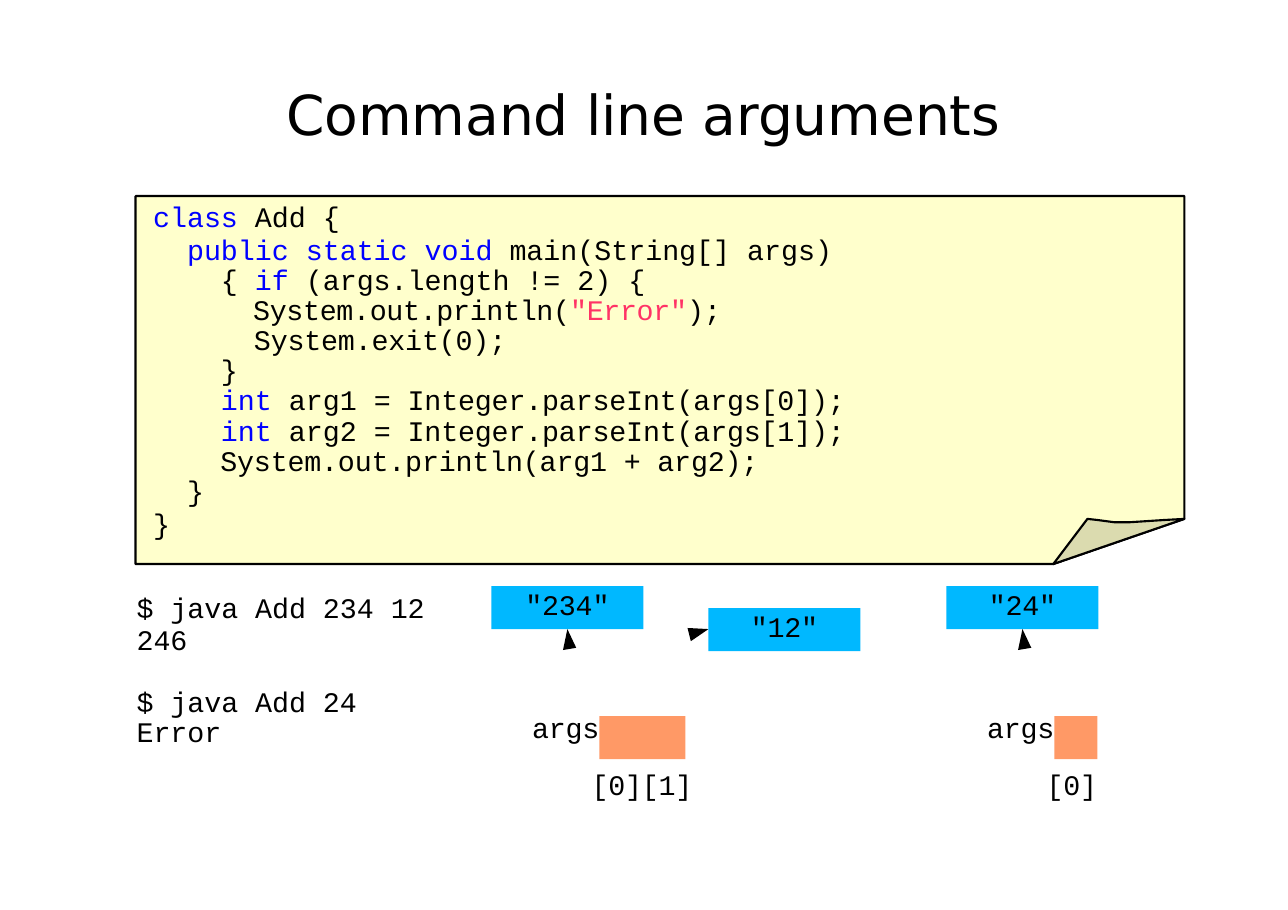
import pptx
import pptx.util
import pptx.dml.color
import pptx.enum.shapes
import pptx.enum.text

Inches, Pt = pptx.util.Inches, pptx.util.Pt
RGBColor = pptx.dml.color.RGBColor
RECT = pptx.enum.shapes.MSO_SHAPE.RECTANGLE
ALIGN = pptx.enum.text.PP_ALIGN

BLACK = RGBColor(0x00, 0x00, 0x00)
KEYWORD = RGBColor(0x00, 0x00, 0xFF)
STRING = RGBColor(0xFF, 0x33, 0x66)
PAPER = RGBColor(0xFF, 0xFF, 0xCC)
FOLD = RGBColor(0xDB, 0xDB, 0xAF)
VALUE = RGBColor(0x00, 0xB8, 0xFF)
CELL = RGBColor(0xFF, 0x99, 0x66)

prs = pptx.Presentation()
prs.slide_width, prs.slide_height = Inches(11.69), Inches(8.26)
s = prs.slides.add_slide(prs.slide_layouts[6])


def write(sp, lines, spacing=None, font="Courier New", size=18.5,
          align=ALIGN.LEFT, wrap=False):
    """Fill a shape; each line is a list of (text, colour, tracking) runs."""
    tf = sp.text_frame
    frame = {"margin_left": 0, "margin_right": 0, "margin_bottom": 0,
             "margin_top": Inches(0.01), "word_wrap": wrap,
             "vertical_anchor": pptx.enum.text.MSO_ANCHOR.TOP}
    for name, value in frame.items():
        setattr(tf, name, value)
    for i, runs in enumerate(lines):
        p = tf.paragraphs[0] if i == 0 else tf.add_paragraph()
        p.alignment = align
        if spacing:
            p.line_spacing = Pt(spacing)
        for text, color, tracking in runs:
            r = p.add_run()
            r.text = text
            for name, value in {"name": font, "size": Pt(size)}.items():
                setattr(r.font, name, value)
            r.font.color.rgb = color
            r.font._element.set("spc", str(tracking))
    return tf


def outline(points, fill, border=None):
    """Draw a closed polygon through points given in inches."""
    pts = [(Inches(x), Inches(y)) for x, y in points]
    fb = s.shapes.build_freeform(*pts[0])
    fb.add_line_segments(pts[1:], close=True)
    sp = fb.convert_to_shape()
    sp.shadow.inherit = False
    sp.fill.solid()
    sp.fill.fore_color.rgb = fill
    if border:
        sp.line.color.rgb = BLACK
        sp.line.width = Pt(border)
    else:
        sp.line.fill.background()


# Title
title = s.shapes.add_textbox(Inches(2.6), Inches(0.72), Inches(6.6), Inches(0.63))
write(title, [[("Command line arguments", BLACK, -5)]], font="DejaVu Sans", size=36)

# Note paper with a folded corner
outline([(10.75, 4.71), (10.75, 1.78), (1.23, 1.78), (1.23, 5.12), (9.56, 5.12)],
        PAPER, 1.4)
outline([(10.75, 4.71), (10.57, 4.72), (10.26, 4.74), (10.11, 4.74),
         (9.96, 4.72), (9.87, 4.71), (9.56, 5.12)], FOLD, 1.4)

# Code listing
code = [
    [("class ", KEYWORD, 0), ("Add {", BLACK, 0)],
    [("  public static void ", KEYWORD, 0), ("main(String[] args)", BLACK, 0)],
    [("    { ", BLACK, 0), ("if ", KEYWORD, 0), ("(args.length != 2) {", BLACK, 0)],
    [("      System.out.println(", BLACK, -20), ('"Error"', STRING, -20),
     (");", BLACK, 0)],
    [("      System.exit(0);", BLACK, -10)],
    [("    }", BLACK, 0)],
    [("    int ", KEYWORD, 0), ("arg1 = ", BLACK, 0),
     ("Integer.parseInt(args[0]);", BLACK, -10)],
    [("    int ", KEYWORD, 0), ("arg2 = ", BLACK, 0),
     ("Integer.parseInt(args[1]);", BLACK, -10)],
    [("    System.out.println(arg1 + arg2);", BLACK, -10)],
    [("  }", BLACK, 0)],
    [("}", BLACK, 0)],
]
listing = s.shapes.add_textbox(Inches(1.39), Inches(1.83), Inches(6.46), Inches(3.1))
tf = write(listing, code, spacing=19.7)
for i in (1, len(code) - 1):
    tf.paragraphs[i].space_before = Pt(1.9)

# Terminal sessions
for top, spacing, session in [(5.36, 21.1, ("$ java Add 234 12", "246")),
                              (6.23, 19.9, ("$ java Add 24", "Error"))]:
    sp = s.shapes.add_textbox(Inches(1.24), Inches(top), Inches(2.63), Inches(0.61))
    write(sp, [[(line, BLACK, -3)] for line in session], spacing)

# Argument arrays: a row of cells, and the string each cell points to
SIDE = 0.39
for dx, values in [(0, [('"234"', 4.46, 5.32), ('"12"', 6.43, 5.52)]),
                   (4.13, [('"24"', 4.46, 5.32)])]:
    n = len(values)
    boxes = [(5.44, 6.5, SIDE * n, CELL, "")]
    boxes += [(x, y, 1.38, VALUE, text) for text, x, y in values]
    for x, y, width, color, text in boxes:
        sp = s.shapes.add_shape(RECT, Inches(x + dx), Inches(y),
                                Inches(width), Inches(SIDE))
        sp.shadow.inherit = False
        sp.fill.solid()
        sp.fill.fore_color.rgb = color
        sp.line.fill.background()
        if text:
            write(sp, [[(text, BLACK, -10)]], align=ALIGN.CENTER, wrap=True)

    indices = "".join(f"[{i}]" for i in range(n))
    for text, x, y, width in [("args", 4.83, 6.44, 0.64),
                              (indices, 5.37, 6.95, 0.48 * n)]:
        sp = s.shapes.add_textbox(Inches(x + dx), Inches(y), Inches(width), Inches(0.34))
        write(sp, [[(text, BLACK, -15)]])

    heads = [[(5.23, 5.88), (5.15, 5.71), (5.11, 5.9)],
             [(6.43, 5.71), (6.24, 5.7), (6.27, 5.82)]]
    for head in heads[:n]:
        outline([(x + dx, y) for x, y in head], BLACK)

prs.save("out.pptx")
